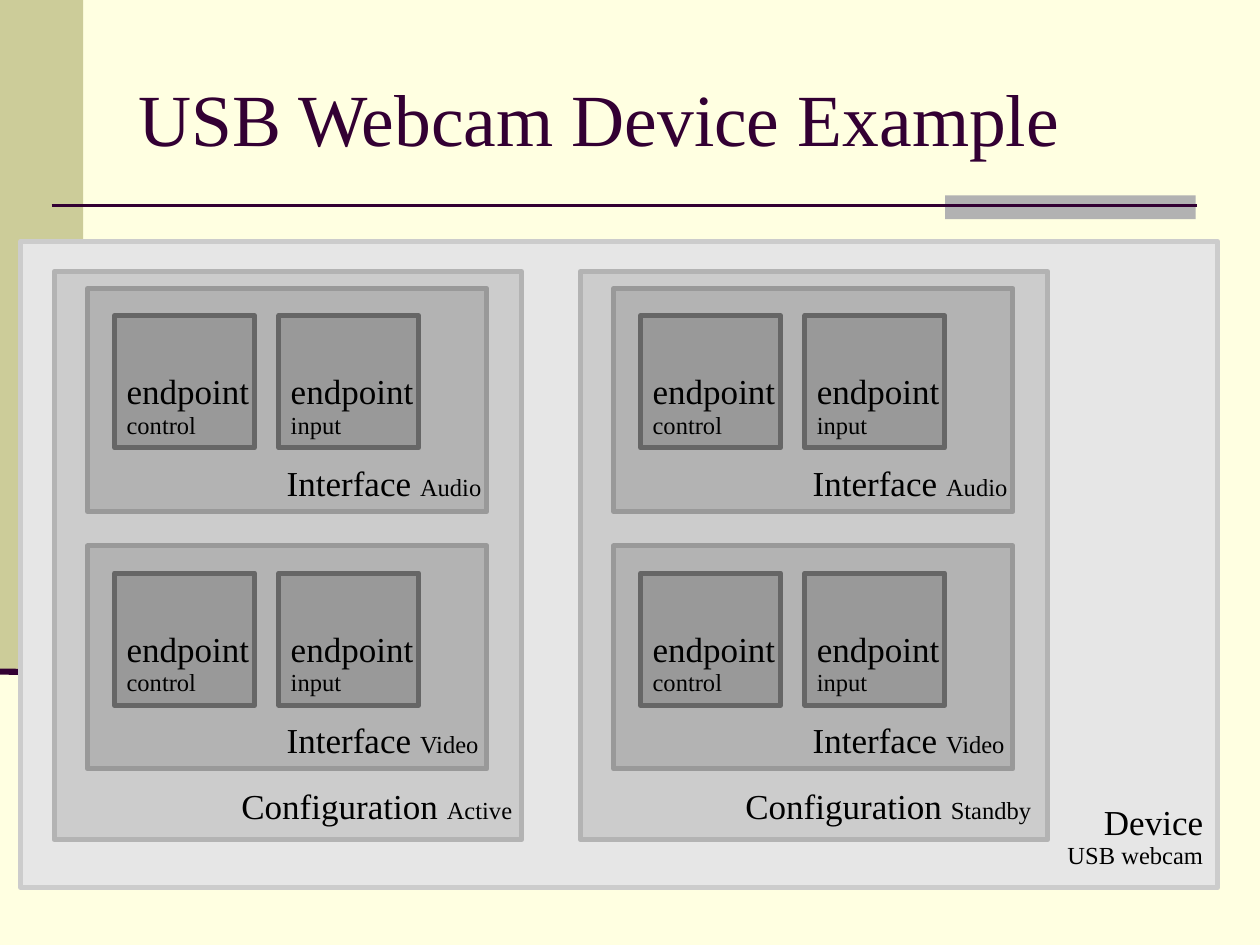
from dataclasses import dataclass

from lxml.etree import SubElement
from pptx import Presentation
from pptx.dml.color import RGBColor
from pptx.enum.shapes import MSO_CONNECTOR, MSO_SHAPE
from pptx.enum.text import MSO_ANCHOR, PP_ALIGN
from pptx.oxml.ns import qn
from pptx.util import Inches, Pt

FONT = "Times New Roman"
COLS, ROWS = 100, 75
HUES = {
    "back": "FFFFE1", "side": "CCCC99", "bar": "B2B2B2", "plum": "330033",
    "text": "000000", "device": "E6E6E6", "config": "CCCCCC",
    "face": "B3B3B3", "point": "999999", "edge": "666666",
}


@dataclass(frozen=True)
class Area:
    """A place on the slide, in grid columns and rows."""
    col: float
    row: float
    wide: float
    high: float

    def shift(self, col: float, row: float) -> "Area":
        return Area(self.col + col, self.row + row, self.wide, self.high)


@dataclass(frozen=True)
class Label:
    area: Area
    name: str
    kind: str
    split: bool = False
    align: PP_ALIGN = PP_ALIGN.LEFT


@dataclass(frozen=True)
class Config:
    col: float
    label: Label


deck = Presentation()
deck.slide_width, deck.slide_height = Inches(10), Inches(7.5)
slide = deck.slides.add_slide(deck.slide_layouts[6])
shapes = slide.shapes


def hue(name: str) -> RGBColor:
    return RGBColor.from_string(HUES[name])


def across(col: float) -> int:
    return round(deck.slide_width * col / COLS)


def down(row: float) -> int:
    return round(deck.slide_height * row / ROWS)


def place(area: Area) -> tuple[int, int, int, int]:
    return across(area.col), down(area.row), across(area.wide), down(area.high)


def draw_box(area: Area, fill: str, edge: str | None = None) -> None:
    box = shapes.add_shape(MSO_SHAPE.RECTANGLE, *place(area))
    box.shadow.inherit = False
    box.fill.solid()
    box.fill.fore_color.rgb = hue(fill)
    if edge is None:
        box.line.fill.background()
        return
    box.line.color.rgb = hue(edge)
    box.line.width = Pt(2.83)
    SubElement(box.line._get_or_add_ln(), qn("a:round"))


def draw_rule(col: float, row: float, end: float, last: float, width: float) -> None:
    rule = shapes.add_connector(
        MSO_CONNECTOR.STRAIGHT, across(col), down(row), across(end), down(last))
    rule.line.color.rgb = hue("plum")
    rule.line.width = Pt(width)
    SubElement(rule._element.spPr, qn("a:effectLst"))


def draw_title(area: Area, text: str) -> None:
    frame = shapes.add_textbox(*place(area)).text_frame
    frame.word_wrap = True
    frame.vertical_anchor = MSO_ANCHOR.MIDDLE
    para = frame.paragraphs[0]
    para.text = text
    para.font.name, para.font.size = FONT, Pt(42)
    para.font.color.rgb = hue("plum")


def draw_label(label: Label) -> None:
    """Write a large name with its small kind beside it or below it."""
    frame = shapes.add_textbox(*place(label.area)).text_frame
    frame.word_wrap = False
    frame.margin_left = frame.margin_right = frame.margin_bottom = 0
    frame.margin_top = Inches(0.02)
    para = frame.paragraphs[0]
    para.alignment, para.line_spacing = label.align, 0.93
    para.font.name = FONT
    para.font.color.rgb = hue("text")
    name = para.add_run()
    name.text = label.name if label.split else label.name + " "
    name.font.size = Pt(20)
    if label.split:
        para.add_line_break()
    kind = para.add_run()
    kind.text = label.kind
    kind.font.size = Pt(14)


def draw_face(col: float, row: float, kind: str) -> None:
    """Draw an interface with its two endpoints."""
    draw_box(Area(col, row, 31.7, 17.7), "face", "point")
    draw_label(Label(Area(15.8, 13.8, 15.8, 3.1).shift(col, row), "Interface", kind))
    for step, use in enumerate(("control", "input")):
        point = Area(2.15 + 13.03 * step, 2.15, 11.1, 10.5).shift(col, row)
        draw_box(point, "point", "edge")
        text = Area(point.col + 0.95, point.row + 4.4, 10, 5.4)
        draw_label(Label(text, "endpoint", use, split=True))


def draw_config(config: Config) -> None:
    draw_box(Area(config.col, 21.55, 37.1, 45.1), "config", "face")
    draw_label(config.label)
    for step, kind in enumerate(("Audio", "Video")):
        draw_face(config.col + 2.65, 22.9 + 20.43 * step, kind)


CONFIGS = (
    Config(4.3, Label(Area(19.15, 62.35, 21.9, 3.2), "Configuration", "Active")),
    Config(46.05, Label(Area(59.15, 62.35, 23.1, 3.2), "Configuration", "Standby")),
)


def main() -> None:
    slide.background.fill.solid()
    slide.background.fill.fore_color.rgb = hue("back")
    draw_box(Area(0, 0, 6.6, 53.2), "side")
    draw_box(Area(75, 15.5, 19.9, 1.9), "bar")
    draw_rule(4.1, 16.3, 95, 16.3, 1.5)
    draw_rule(0, 53.3, 6.7, 53.4, 3.5)
    draw_title(Area(10, 3.05, 85, 12.5), "USB Webcam Device Example")
    draw_box(Area(1.65, 19.15, 95, 51.3), "device", "config")
    draw_label(Label(Area(84.5, 63.6, 11, 5.5), "Device", "USB webcam",
                     split=True, align=PP_ALIGN.RIGHT))
    for config in CONFIGS:
        draw_config(config)
    deck.save("out.pptx")


if __name__ == "__main__":
    main()
